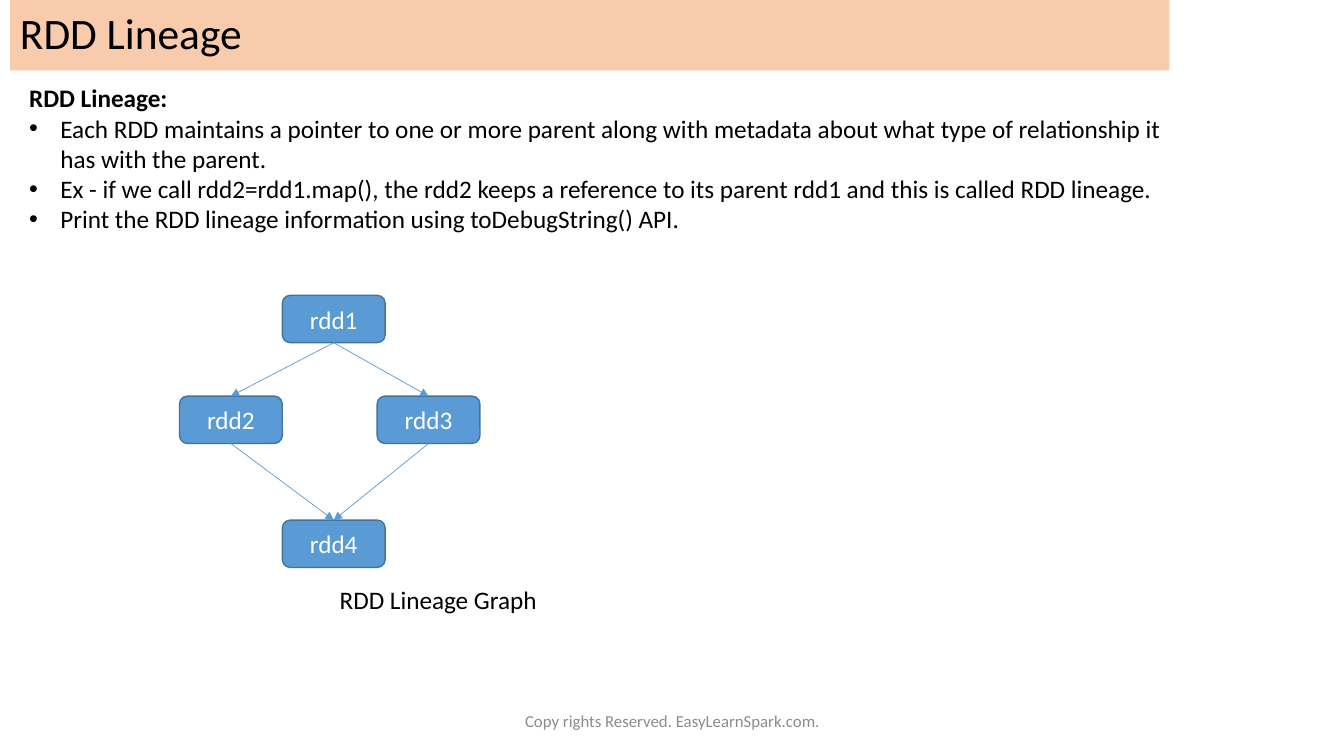
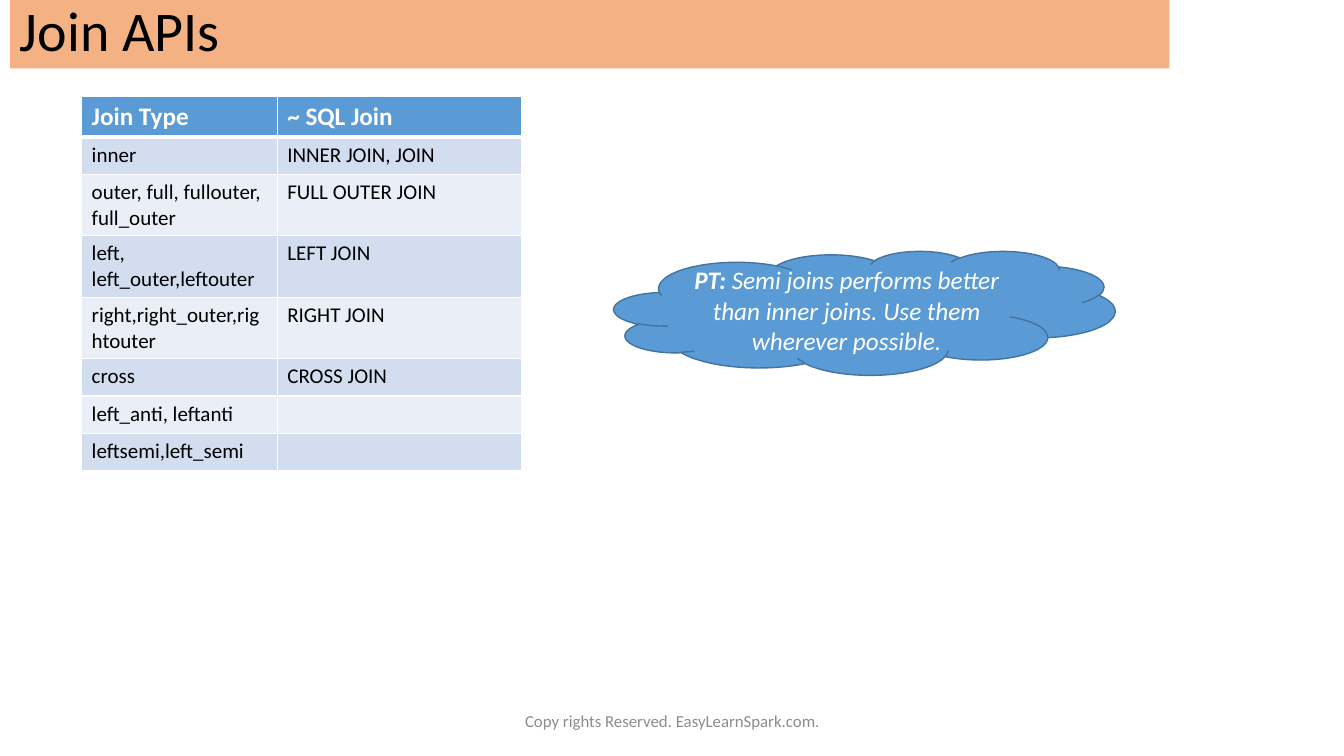
import pptx
import pptx.dml.color
import pptx.enum.shapes
import pptx.enum.text
import pptx.oxml
import pptx.oxml.ns
import pptx.util
import lxml.etree

Inches = pptx.util.Inches
Pt = pptx.util.Pt
RGB = pptx.dml.color.RGBColor.from_string
SHAPE = pptx.enum.shapes.MSO_SHAPE
ALIGN = pptx.enum.text.PP_ALIGN
MIDDLE = pptx.enum.text.MSO_ANCHOR.MIDDLE
qn = pptx.oxml.ns.qn

COLORS = {
    "text": "000000",
    "white": "FFFFFF",
    "footer": "8C8C8C",
    "blue": "5B9BD5",
    "outline": "43739E",
    "band_light": "F8CBAD",
    "band_dark": "F4B183",
    "row_odd": "D2DEEF",
    "row_even": "EAEFF7",
}
FONT = "Calibri"
FOOTER = "Copy rights Reserved. EasyLearnSpark.com."


def add_run(paragraph, text, size=18, color="text", bold=False, italic=False):
    run = paragraph.add_run()
    run.text = text
    run.font.name = FONT
    run.font.size = Pt(size)
    run.font.bold = bold
    run.font.italic = italic
    run.font.color.rgb = RGB(COLORS[color])


def add_panel(slide, kind, box, fill, outline=None):
    """Add a flat filled shape and return it; box is left, top, width, height in inches."""
    panel = slide.shapes.add_shape(kind, *[Inches(length) for length in box])
    panel.shadow.inherit = False
    panel.fill.solid()
    panel.fill.fore_color.rgb = RGB(COLORS[fill])
    if outline:
        panel.line.color.rgb = RGB(COLORS[outline])
        panel.line.width = Pt(1)
    else:
        panel.line.fill.background()
    panel.text_frame.word_wrap = True
    panel.text_frame.vertical_anchor = MIDDLE
    panel.text_frame.paragraphs[0].alignment = ALIGN.CENTER
    return panel


prs = pptx.Presentation()
prs.slide_width = Inches(13.33)
prs.slide_height = Inches(7.5)

# Title band and footer of every slide
slides = []
for title, title_size, band_color, band_top in [
    ("RDD Lineage", 31, "band_light", 0),
    ("Join APIs", 40, "band_dark", -0.02),
]:
    slide = prs.slides.add_slide(prs.slide_layouts[6])
    band = add_panel(slide, SHAPE.RECTANGLE, (0.1, band_top, 11.5, 0.7), band_color)
    heading = band.text_frame.paragraphs[0]
    heading.alignment = ALIGN.LEFT
    heading.line_spacing = 0.9
    add_run(heading, title, title_size)

    footer = slide.shapes.add_textbox(Inches(4.42), Inches(6.95), Inches(4.5), Inches(0.4))
    footer.text_frame.word_wrap = True
    footer.text_frame.vertical_anchor = MIDDLE
    footer.text_frame.paragraphs[0].alignment = ALIGN.CENTER
    add_run(footer.text_frame.paragraphs[0], FOOTER, 12, "footer")
    slides.append(slide)

lineage_slide, join_slide = slides

# RDD Lineage: explanation
explanation = lineage_slide.shapes.add_textbox(
    Inches(0.19), Inches(0.77), Inches(11.65), Inches(1.62)).text_frame
explanation.word_wrap = True
add_run(explanation.paragraphs[0], "RDD Lineage:", bold=True)
for point in [
    "Each RDD maintains a pointer to one or more parent along with metadata about "
    "what type of relationship it has with the parent.",
    "Ex - if we call rdd2=rdd1.map(), the rdd2 keeps a reference to its parent rdd1 "
    "and this is called RDD lineage.",
    "Print the RDD lineage information using toDebugString() API.",
]:
    paragraph = explanation.add_paragraph()
    properties = paragraph._p.get_or_add_pPr()
    properties.set("marL", str(Inches(0.31)))
    properties.set("indent", str(-Inches(0.31)))
    lxml.etree.SubElement(properties, qn("a:buFont")).set("typeface", "Arial")
    lxml.etree.SubElement(properties, qn("a:buChar")).set("char", "•")
    add_run(paragraph, point)

# RDD Lineage: graph
nodes = {}
for name, left, top in [
    ("rdd1", 2.8, 2.93),
    ("rdd2", 1.78, 3.93),
    ("rdd3", 3.74, 3.93),
    ("rdd4", 2.8, 5.16),
]:
    nodes[name] = add_panel(
        lineage_slide, SHAPE.ROUNDED_RECTANGLE, (left, top, 1.02, 0.47), "blue", "outline")
    add_run(nodes[name].text_frame.paragraphs[0], name, color="white")

BOTTOM_SITE, TOP_SITE = 2, 0
for parent, child in [("rdd1", "rdd2"), ("rdd1", "rdd3"), ("rdd2", "rdd4"), ("rdd3", "rdd4")]:
    arrow = lineage_slide.shapes.add_connector(
        pptx.enum.shapes.MSO_CONNECTOR.STRAIGHT, 0, 0, 0, 0)
    arrow.begin_connect(nodes[parent], BOTTOM_SITE)
    arrow.end_connect(nodes[child], TOP_SITE)
    arrow.line.color.rgb = RGB(COLORS["blue"])
    arrow.line.width = Pt(0.5)
    lxml.etree.SubElement(arrow.line._get_or_add_ln(), qn("a:tailEnd")).set("type", "triangle")
    lxml.etree.SubElement(arrow._element.spPr, qn("a:effectLst"))

caption = lineage_slide.shapes.add_textbox(
    Inches(3.27), Inches(5.75), Inches(2.34), Inches(0.4)).text_frame
caption.word_wrap = True
add_run(caption.paragraphs[0], "RDD Lineage Graph")

# Join APIs: table of join types
joins = [
    ("Join Type", "~ SQL Join"),
    ("inner", "INNER JOIN, JOIN"),
    ("outer, full, fullouter, full_outer", "FULL OUTER JOIN"),
    ("left, left_outer,leftouter", "LEFT JOIN"),
    ("right,right_outer,rightouter", "RIGHT JOIN"),
    ("cross", "CROSS JOIN"),
    ("left_anti, leftanti", ""),
    ("leftsemi,left_semi", ""),
]
row_heights = [0.4, 0.37, 0.61, 0.61, 0.61, 0.37, 0.37, 0.37]
column_widths = [1.94, 2.42]
join_table = join_slide.shapes.add_table(
    len(joins), len(column_widths), Inches(0.81), Inches(0.96),
    Inches(sum(column_widths)), Inches(sum(row_heights))).table
for column, width in zip(join_table.columns, column_widths):
    column.width = Inches(width)
for row, height in zip(join_table.rows, row_heights):
    row.height = Inches(height)

for row_index, join in enumerate(joins):
    is_header = row_index == 0
    fill = "blue" if is_header else "row_odd" if row_index % 2 else "row_even"
    edge_widths = {
        "a:lnL": 1,
        "a:lnR": 1,
        "a:lnT": 3 if row_index == 1 else 1,
        "a:lnB": 3 if is_header else 1,
    }
    for column_index, text in enumerate(join):
        cell = join_table.cell(row_index, column_index)
        cell_properties = cell._tc.get_or_add_tcPr()
        for edge, width in edge_widths.items():
            border = lxml.etree.SubElement(cell_properties, qn(edge), w=str(Pt(width)))
            border_fill = lxml.etree.SubElement(border, qn("a:solidFill"))
            lxml.etree.SubElement(border_fill, qn("a:srgbClr")).set("val", COLORS["white"])
        cell.fill.solid()
        cell.fill.fore_color.rgb = RGB(COLORS[fill])
        if text:
            add_run(cell.text_frame.paragraphs[0], text, 18 if is_header else 15,
                    "white" if is_header else "text", bold=is_header)
        else:
            cell.text_frame.paragraphs[0].font.size = Pt(15)

# Join APIs: performance tip
tip = add_panel(join_slide, SHAPE.CLOUD, (6.09, 2.49, 4.97, 1.23), "blue", "outline")
tip_text = tip.text_frame.paragraphs[0]
add_run(tip_text, "PT: ", color="white", bold=True, italic=True)
add_run(tip_text, "Semi joins performs better than inner joins. Use them wherever possible.",
        color="white", italic=True)

prs.save("out.pptx")
